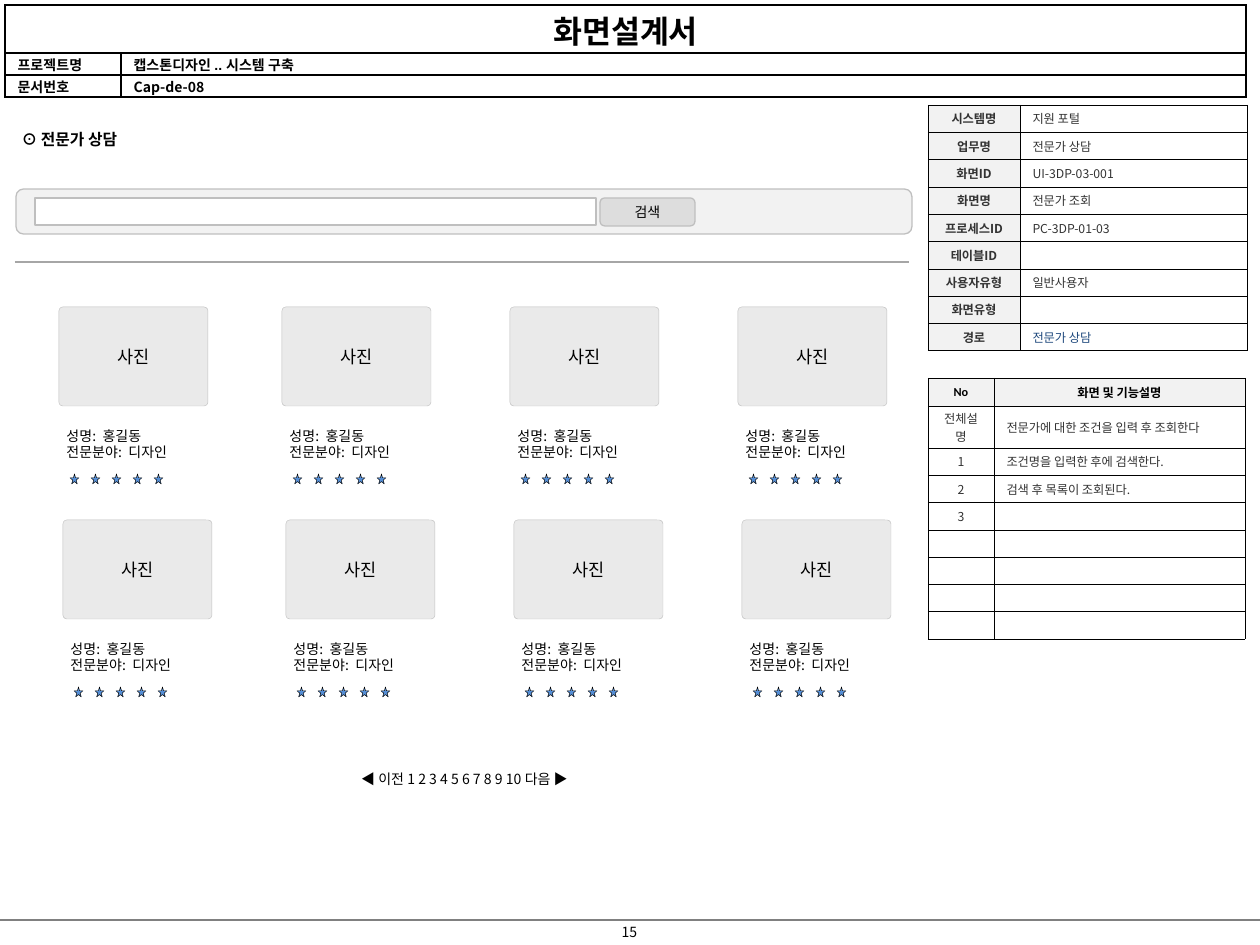
from dataclasses import dataclass

from lxml import etree
from pptx import Presentation
from pptx.dml.color import RGBColor
from pptx.enum.shapes import MSO_CONNECTOR, MSO_SHAPE
from pptx.enum.text import MSO_ANCHOR, MSO_AUTO_SIZE, PP_ALIGN
from pptx.oxml.ns import qn
from pptx.util import Pt

PX = 914400 / 126
LEFT, CENTER = PP_ALIGN.LEFT, PP_ALIGN.CENTER
MIDDLE, BOTTOM = MSO_ANCHOR.MIDDLE, MSO_ANCHOR.BOTTOM
STRAIGHT = MSO_CONNECTOR.STRAIGHT
ROUND, RECT, STAR = MSO_SHAPE.ROUNDED_RECTANGLE, MSO_SHAPE.RECTANGLE, MSO_SHAPE.STAR_5_POINT
BUTTON = MSO_SHAPE.FLOWCHART_ALTERNATE_PROCESS


@dataclass(frozen=True)
class Style:
    size: int
    bold: bool = False
    align: int = LEFT
    color: str = "000000"
    font: str = "Noto Sans CJK KR"
    fill: str = "FFFFFF"


class Theme:
    korean = "Noto Sans CJK KR"
    black, white, panel, edge, button = "000000", "FFFFFF", "F2F2F2", "BFBFBF", "DDDDDD"
    photo, photo_edge, star = "EAEAEA", "C0C0C0", "558ED5"
    divider, footer = "A6A6A6", "808080"
    doc_title = Style(18, True, CENTER)
    doc_text = Style(8, True, font="Arial")
    doc_code = Style(8, True)
    heading = Style(9, True)
    body = Style(8)
    centered = Style(8, align=CENTER)
    search = Style(8, align=CENTER, font="Arial")
    photo_text = Style(10, align=CENTER)
    label = Style(7, True, CENTER, "333333", fill="F2F2F2")
    value = Style(7, color="333333")
    route = Style(7, color="1F497D")
    number = Style(7, align=CENTER, color="333333")
    number_head = Style(7, True, CENTER, font="Calibri", fill="F2F2F2")
    function_head = Style(7, True, CENTER, font="Arial", fill="F2F2F2")


def write(tf, text, style, wrap=True):
    tf.text = text
    tf.word_wrap = wrap
    for p in tf.paragraphs:
        p.alignment = style.align
        # Empty cells take their line height from the end mark.
        p._p.get_or_add_endParaRPr().set("sz", str(style.size * 100))
        for r in p.runs:
            r.font.size, r.font.bold, r.font.name = Pt(style.size), style.bold, style.font
            r.font.color.rgb = RGBColor.from_string(style.color)
            etree.SubElement(r._r.get_or_add_rPr(), qn("a:ea")).set("typeface", Theme.korean)


def add_box(shapes, kind, box, fill, line, width):
    sp = shapes.add_shape(kind, *(round(v * PX) for v in box))
    sp.shadow.inherit = False
    sp.fill.solid()
    sp.fill.fore_color.rgb = RGBColor.from_string(fill)
    sp.line.color.rgb = RGBColor.from_string(line)
    sp.line.width = Pt(width)
    return sp


prs = Presentation()
prs.slide_width, prs.slide_height = round(1260 * PX), round(945 * PX)
s = prs.slides.add_slide(prs.slide_layouts[5])

# Section heading
title = s.shapes.title
title.left, title.top, title.width, title.height = (round(v * PX) for v in (9, 123, 125, 32))
write(title.text_frame, "⊙ 전문가 상담", Theme.heading, wrap=False)
title.text_frame.auto_size = MSO_AUTO_SIZE.NONE
title.text_frame.vertical_anchor = MIDDLE

# Rules
for x1, x2, y, color in ((0, 1260, 920, Theme.footer), (15, 909, 262, Theme.divider)):
    line = s.shapes.add_connector(STRAIGHT, *(round(v * PX) for v in (x1, y, x2, y)))
    line.line.color.rgb = RGBColor.from_string(color)
    line.line.width = Pt(0.75)
    etree.SubElement(line._element.spPr, qn("a:effectLst"))

# Page number and pager
for box, text in (
    ((595, 917, 69, 30), "15"),
    ((334, 764, 261, 30), "◀ 이전 1 2 3 4 5 6 7 8 9 10 다음 ▶"),
):
    tb = s.shapes.add_textbox(*(round(v * PX) for v in box))
    write(tb.text_frame, text, Theme.centered, wrap=False)

# Search bar
bar = s.shapes.add_group_shape()
add_box(bar.shapes, ROUND, (16, 189, 896, 45), Theme.panel, Theme.edge, 0.75)
search = add_box(bar.shapes, BUTTON, (600, 198, 95, 28), Theme.button, Theme.edge, 0.75)
write(search.text_frame, "검색", Theme.search, wrap=False)
search.text_frame.margin_top = search.text_frame.margin_bottom = 0
search.text_frame.vertical_anchor = MIDDLE
add_box(bar.shapes, RECT, (35, 198, 561, 27), Theme.white, Theme.edge, 1)

# Tables: position, column widths, row heights, border, cell inset, anchor, rows
document = [
    [("화면설계서", Theme.doc_title), ("", Theme.doc_text)],
    [("프로젝트명", Theme.doc_text), ("캡스톤디자인 .. 시스템 구축", Theme.doc_text)],
    [("문서번호", Theme.doc_text), ("Cap-de-08", Theme.doc_code)],
]
info = [
    [(name, Theme.label), (value, Theme.route if name == "경로" else Theme.value)]
    for name, value in (
        ("시스템명", "지원 포털"),
        ("업무명", "전문가 상담"),
        ("화면ID", "UI-3DP-03-001"),
        ("화면명", "전문가 조회"),
        ("프로세스ID", "PC-3DP-01-03"),
        ("테이블ID", ""),
        ("사용자유형", "일반사용자"),
        ("화면유형", ""),
        ("경로", "전문가 상담"),
    )
]
functions = [[("No", Theme.number_head), ("화면 및 기능설명", Theme.function_head)]] + [
    [(number, Theme.number), (detail, Theme.value)]
    for number, detail in [
        ("전체설명", "전문가에 대한 조건을 입력 후 조회한다"),
        ("1", "조건명을 입력한 후에 검색한다."),
        ("2", "검색 후 목록이 조회된다."),
        ("3", ""),
    ] + [("", "")] * 4
]
tables = (
    (5, 5, (116, 1125), (48, 22, 22), 1, 0, BOTTOM, document),
    (928, 378, (66, 251), (28, 42) + (27.3,) * 7, 0.25, 3, MIDDLE, functions),
    (928, 105, (92, 227), (27.3,) * 9, 0.25, 3, MIDDLE, info),
)
for x, y, widths, heights, border, inset, anchor, rows in tables:
    box = (x, y, sum(widths), sum(heights))
    table = s.shapes.add_table(len(rows), 2, *(round(v * PX) for v in box)).table
    table.first_row = table.horz_banding = False
    for column, width in zip(table.columns, widths):
        column.width = round(width * PX)
    for row, height, items in zip(table.rows, heights, rows):
        row.height = round(height * PX)
        for cell, (text, style) in zip(row.cells, items):
            write(cell.text_frame, text, style)
            cell.margin_top = cell.margin_bottom = round(inset * PX)
            cell.vertical_anchor = anchor
            tcPr = cell._tc.get_or_add_tcPr()
            for side in ("a:lnL", "a:lnR", "a:lnT", "a:lnB"):
                ln = etree.SubElement(tcPr, qn(side), w=str(int(Pt(border))))
                fill = etree.SubElement(ln, qn("a:solidFill"))
                etree.SubElement(fill, qn("a:srgbClr"), val=Theme.black)
            cell.fill.solid()
            cell.fill.fore_color.rgb = RGBColor.from_string(style.fill)
    if rows is document:
        table.cell(0, 0).merge(table.cell(0, 1))

# Expert cards
for y, shift in ((307, 0), (520, 4)):
    for column_x in (59, 282, 510, 738):
        x = column_x + shift
        card = s.shapes.add_group_shape()
        tb = card.shapes.add_textbox(*(round(v * PX) for v in (x - 5, y + 114, 185, 63)))
        write(tb.text_frame, "성명:  홍길동\n전문분야:  디자인", Theme.body)
        photo = add_box(card.shapes, ROUND, (x, y, 149, 99), Theme.photo, Theme.photo_edge, 0.25)
        photo.adjustments[0] = 0.04
        write(photo.text_frame, "사진", Theme.photo_text, wrap=False)
        photo.text_frame.vertical_anchor = MIDDLE
        for i in range(5):
            star_box = (x + 11 + 21 * i, y + 167, 9, 10)
            add_box(card.shapes, STAR, star_box, Theme.star, Theme.black, 0.25)

prs.save("out.pptx")
